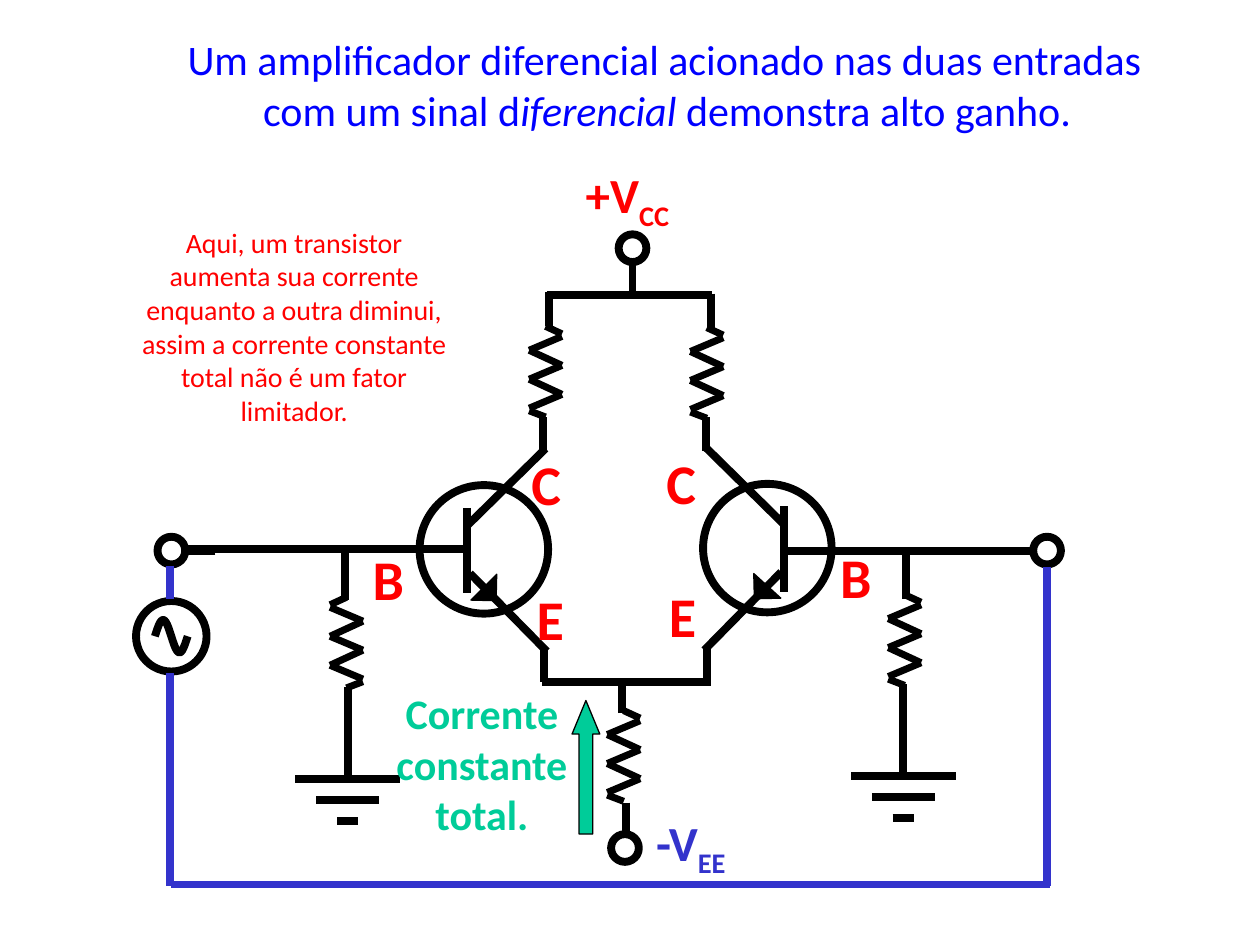
import math
from pptx import Presentation
from pptx.dml.color import RGBColor
from pptx.enum.shapes import MSO_CONNECTOR, MSO_SHAPE
from pptx.enum.text import MSO_AUTO_SIZE, PP_ALIGN
from pptx.oxml.ns import qn
from pptx.util import Inches, Pt
from lxml import etree

LEFT, CENTER = PP_ALIGN.LEFT, PP_ALIGN.CENTER
STRAIGHT = MSO_CONNECTOR.STRAIGHT
OVAL, TRIANGLE, UP_ARROW = MSO_SHAPE.OVAL, MSO_SHAPE.RIGHT_TRIANGLE, MSO_SHAPE.UP_ARROW
BLACK, RED, BLUE, WIRE_BLUE, GREEN = "000000", "FF0000", "0000FF", "3333CC", "00CC99"
FONT, THICK, ZIGZAG, THIN = "Calibri", 4.5, 4, 0.75

# Box, size, colour, bold, alignment, paragraphs; a run is text or (text, style)
TEXTS = [
    ((1.39, 0.22, 7.87, 0.9), 24, BLUE, False, LEFT,
     [["Um amplificador diferencial acionado nas duas entradas"],
      ["com um sinal d", ("iferencial", "italic"), " demonstra alto ganho."]]),
    ((1.02, 1.74, 2.63, 1.7), 16, RED, False, CENTER,
     [["Aqui, um transistor"], ["aumenta sua corrente"], ["enquanto a outra diminui,"],
      ["assim a corrente constante"], ["total não é um fator"], ["limitador."]]),
    ((4.55, 1.26, 0.86, 0.63), 28, RED, True, LEFT, [["+V", ("CC", "sub")]]),
    ((5.11, 6.4, 0.77, 0.63), 28, WIRE_BLUE, True, LEFT, [["-V", ("EE", "sub")]]),
    ((3.04, 5.41, 1.57, 1.3), 24, GREEN, True, CENTER,
     [["Corrente"], ["constante"], ["total."]]),
]
SECOND_LINE_INDENT = 0.6
PINS = [("C", 4.12, 3.52, 0.43), ("B", 2.86, 4.27, 0.45), ("E", 4.16, 4.59, 0.41),
        ("C", 5.19, 3.51, 0.43), ("B", 6.57, 4.26, 0.45), ("E", 5.21, 4.57, 0.41)]

TRANSISTORS = [(3.84, 4.36, 1, 271.3), (6.09, 4.35, -1, 358.7)]  # centre, side, arrow turn
ELECTRODES = [(-0.13, -0.19, 0.49, -0.8), (-0.13, -0.33, -0.13, 0.35),
              (-0.11, 0.19, 0.5, 0.81), (0.48, 0.8, 0.48, 1.05)]
RESISTORS = [(4.2, 2.59, False), (5.48, 2.6, False), (2.62, 4.74, True),
             (7.05, 4.72, False), (4.82, 5.64, False)]  # left, top, mirrored
RESISTOR_W, TOOTH_H, PITCH = 0.26, 0.11, 0.23
GROUNDS = [(2.76, 6.18), (7.17, 6.16)]
GROUND_BARS = [0.83, 0.5, 0.17]
TERMINALS = [(5.02, 1.97), (4.96, 6.73), (8.31, 4.37), (1.36, 4.37)]
SOURCE = (1.36, 5.05)
WIRES = [
    (5.02, 2.32, 5.02, 2.09), (4.34, 2.34, 5.65, 2.34),
    (4.36, 2.32, 4.36, 2.59), (4.31, 3.31, 4.31, 3.58),
    (5.64, 2.33, 5.64, 2.6), (5.6, 3.31, 5.6, 3.58),
    (3.69, 4.36, 1.44, 4.36), (1.71, 4.37, 1.48, 4.37),
    (6.22, 4.37, 7.98, 4.37), (7.95, 4.37, 8.18, 4.37),
    (2.74, 4.76, 2.74, 4.39), (7.19, 4.75, 7.19, 4.37),
    (4.3, 5.41, 5.64, 5.41), (4.94, 5.66, 4.94, 5.43), (4.97, 6.37, 4.97, 6.6),
]
BLUE_WIRES = [(1.35, 4.49, 1.35, 4.75), (1.36, 7.02, 8.33, 7.02),
              (8.31, 4.5, 8.31, 7.03), (1.35, 5.34, 1.35, 7.03)]

prs = Presentation()
prs.slide_width, prs.slide_height = Inches(10), Inches(7.5)
shapes = prs.slides.add_slide(prs.slide_layouts[6]).shapes


def rgb(value):
    return RGBColor.from_string(value)


def line(x1, y1, x2, y2, color=BLACK, width=THICK):
    c = shapes.add_connector(STRAIGHT, *map(Inches, (x1, y1, x2, y2)))
    c.line.color.rgb, c.line.width = rgb(color), Pt(width)
    etree.SubElement(c._element.spPr, qn("a:effectLst"))


def style(sp, fill=None, width=THICK):
    sp.shadow.inherit = False
    if fill:
        sp.fill.solid()
        sp.fill.fore_color.rgb = rgb(fill)
    else:
        sp.fill.background()
    sp.line.color.rgb, sp.line.width = rgb(BLACK), Pt(width)


def centred(kind, cx, cy, w, h, fill=None, width=THICK):
    sp = shapes.add_shape(kind, *map(Inches, (cx - w / 2, cy - h / 2, w, h)))
    style(sp, fill, width)
    return sp


def text(box, size, color, bold, align, paragraphs):
    tf = shapes.add_textbox(*map(Inches, box)).text_frame
    tf.word_wrap, tf.auto_size = False, MSO_AUTO_SIZE.SHAPE_TO_FIT_TEXT
    for i, runs in enumerate(paragraphs):
        p = tf.add_paragraph() if i else tf.paragraphs[0]
        p.alignment = align
        if i and align == LEFT:
            p._p.get_or_add_pPr().set("marL", str(Inches(SECOND_LINE_INDENT)))
        p.font.name, p.font.size, p.font.bold = FONT, Pt(size), bold
        p.font.color.rgb = rgb(color)
        for run in runs:
            content, kind = (run, None) if isinstance(run, str) else run
            r = p.add_run()
            r.text = content
            if kind == "italic":
                r.font.italic = True
            elif kind == "sub":
                r._r.get_or_add_rPr().set("baseline", "-25000")


def resistor(left, top, mirrored):
    w = RESISTOR_W
    teeth = [(w / 2, 0, w, 0.06), (0, 0.67, w / 2, 0.72)]
    for i in range(3):
        y = 0.08 + i * PITCH
        teeth.append((0, y + TOOTH_H, w, y))
        if i < 2:
            teeth.append((0, y + TOOTH_H, w, y + PITCH))
    for x1, y1, x2, y2 in teeth:
        if mirrored:
            x1, x2 = w - x1, w - x2
        line(left + x1, top + y1, left + x2, top + y2, width=ZIGZAG)


def transistor(cx, cy, side, turn):
    for x1, y1, x2, y2 in ELECTRODES:
        line(cx + side * x1, cy + y1, cx + side * x2, cy + y2)
    centred(TRIANGLE, cx, cy + 0.3, 0.21, 0.2, BLACK, THIN).rotation = turn
    centred(OVAL, cx, cy, 1.02, 1.02)


def ground(cx, y):
    line(cx, y - 0.73, cx, y - 0.02)
    for i, w in enumerate(GROUND_BARS):
        line(cx - w / 2, y + i / 6, cx + w / 2, y + i / 6)


def sine_source(cx, cy, radius=0.13, steps=24):
    centred(OVAL, cx, cy, 0.56, 0.56)
    points = [(Inches(cx - radius + 2 * radius * i / steps),
               Inches(cy - radius * math.sin(2 * math.pi * i / steps)))
              for i in range(steps + 1)]
    builder = shapes.build_freeform(*points[0])
    builder.add_line_segments(points[1:], close=False)
    style(builder.convert_to_shape())


for wire in WIRES:
    line(*wire)
for item in RESISTORS:
    resistor(*item)
for item in TRANSISTORS:
    transistor(*item)
for item in GROUNDS:
    ground(*item)
for center in TERMINALS:
    centred(OVAL, *center, 0.22, 0.22)
sine_source(*SOURCE)
for wire in BLUE_WIRES:
    line(*wire, color=WIRE_BLUE)

arrow = centred(UP_ARROW, 4.65, 6.09, 0.22, 1.06, GREEN, THIN)
arrow.adjustments[0], arrow.adjustments[1] = 0.49, 1.21

for item in TEXTS:
    text(*item)
for name, left, top, width in PINS:
    text((left, top, width, 0.64), 32, RED, True, LEFT, [[name]])

prs.save("out.pptx")
